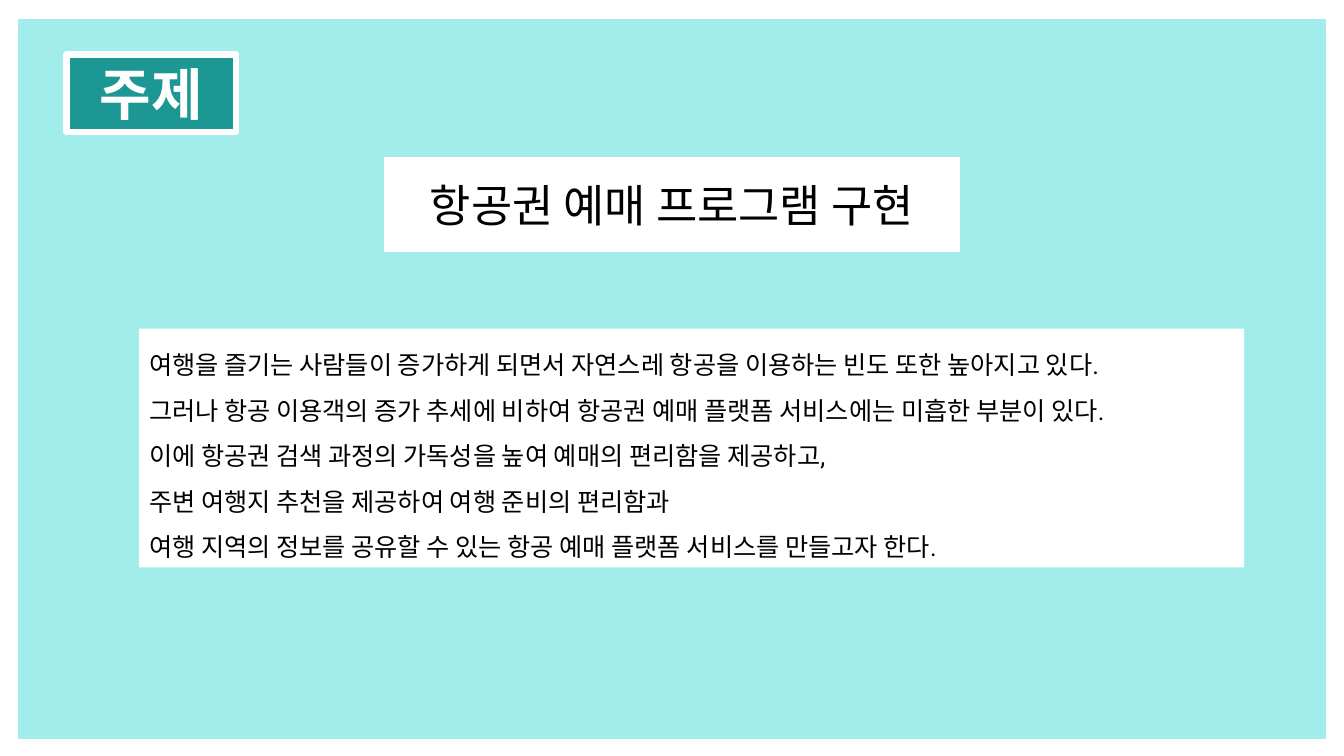
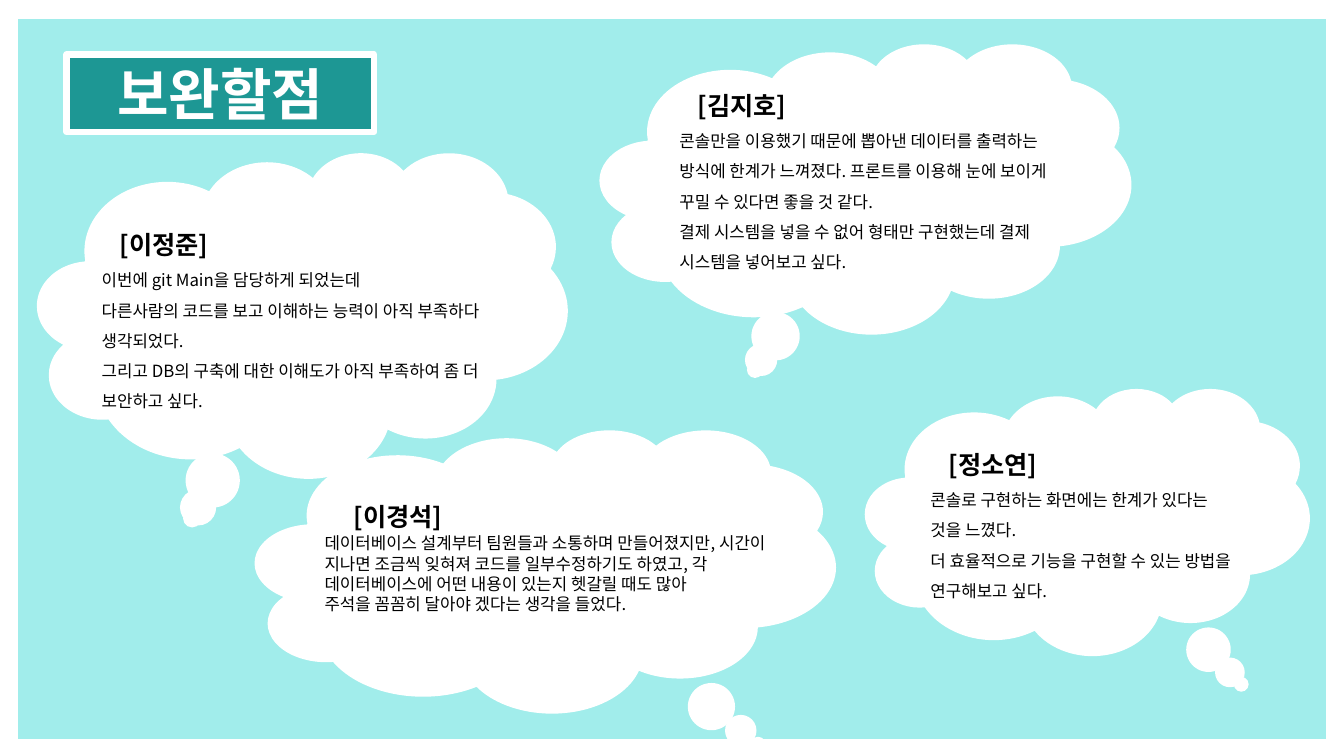
from pptx import Presentation
from pptx import util as u
from pptx.dml.color import RGBColor
from pptx.enum import shapes, text
from pptx.oxml.ns import qn
from lxml import etree

WIDTH, HEIGHT = 13.33, 7.5
AQUA, TEAL, WHITE, BLACK = "A1EDEB", "1D9794", "FFFFFF", "000000"
KOREAN, CONDENSED = "Noto Sans CJK KR", "Roboto Condensed"
LINE_HEIGHT = 1.2  # height of a single line, in text sizes
LOOSE = 1.5

# Slide 1
TOPIC = "항공권 예매 프로그램 구현"
PURPOSE = [
    "여행을 즐기는 사람들이 증가하게 되면서 자연스레 항공을 이용하는 빈도 또한 높아지고 있다.",
    "그러나 항공 이용객의 증가 추세에 비하여 항공권 예매 플랫폼 서비스에는 미흡한 부분이 있다.",
    "이에 항공권 검색 과정의 가독성을 높여 예매의 편리함을 제공하고,",
    "주변 여행지 추천을 제공하여 여행 준비의 편리함과",
    "여행 지역의 정보를 공유할 수 있는 항공 예매 플랫폼 서비스를 만들고자 한다.",
]

# Slide 2: clouds as (left, top, width, height), (tail x, tail y)
CLOUDS = [
    ((0.37, 1.51, 5.26, 3.23), (-0.208, 0.625)),
    ((8.58, 3.85, 4.41, 2.65), (0.346, 0.609)),
    ((2.53, 4.26, 5.76, 2.81), (0.366, 0.613)),
    ((5.95, 0.43, 5.27, 2.88), (-0.208, 0.625)),
]
# Opinions as box, name, remarks, line spacing
OPINIONS = [
    ((3.23, 4.77, 5.6, 0.5), "[이경석]", [], LOOSE),
    ((0.91, 2.08, 4.42, 2.07), "[이정준]", [
        "이번에 git Main을 담당하게 되었는데",
        "다른사람의 코드를 보고 이해하는 능력이 아직 부족하다",
        "생각되었다.",
        "그리고 DB의 구축에 대한 이해도가 아직 부족하여 좀 더 보안하고 싶다.",
    ], LOOSE),
    ((6.64, 0.7, 4.18, 2.07), "[김지호]", [
        "콘솔만을 이용했기 때문에 뽑아낸 데이터를 출력하는 방식에 한계가 느껴졌다. "
        "프론트를 이용해 눈에 보이게 꾸밀 수 있다면 좋을 것 같다.",
        "결제 시스템을 넣을 수 없어 형태만 구현했는데 결제 시스템을 넣어보고 싶다.",
    ], LOOSE),
    ((9.13, 4.26, 4.18, 1.77), "[정소연]", [
        "콘솔로 구현하는 화면에는 한계가 있다는",
        "것을 느꼈다.",
        "더 효율적으로 기능을 구현할 수 있는 방법을",
        "연구해보고 싶다.",
    ], LOOSE),
    ((3.12, 5.24, 4.78, 0.91), None, [
        "데이터베이스 설계부터 팀원들과 소통하며 만들어졌지만, 시간이 지나면 조금씩 잊혀져 "
        "코드를 일부수정하기도 하였고, 각 데이터베이스에 어떤 내용이 있는지 헷갈릴 때도 많아",
        "주석을 꼼꼼히 달아야 겠다는 생각을 들었다.",
    ], 1),
]


def rgb(value):
    return RGBColor.from_string(value)


def inches(box):
    return [u.Inches(length) for length in box]


def add_panel(slide, box, fill, kind=shapes.MSO_SHAPE.RECTANGLE, border=None):
    panel = slide.shapes.add_shape(kind, *inches(box))
    panel.shadow.inherit = False
    panel.fill.solid()
    panel.fill.fore_color.rgb = rgb(fill)
    if border:
        panel.line.color.rgb = rgb(border)
        panel.line.width = u.Pt(4.5)
    else:
        panel.line.fill.background()
    return panel


def write(frame, lines, size, color=BLACK, font=KOREAN, bold=False,
          align=text.PP_ALIGN.LEFT, spacing=1):
    """Fill a text frame with one paragraph for each line."""
    frame.word_wrap = True
    frame.text = "\n".join(lines)
    for paragraph in frame.paragraphs:
        style(paragraph, size, color, font, bold, align, spacing)


def style(paragraph, size, color=BLACK, font=KOREAN, bold=False,
          align=text.PP_ALIGN.LEFT, spacing=1):
    paragraph.alignment = align
    paragraph.line_spacing = u.Pt(size * LINE_HEIGHT * spacing)
    for run in paragraph.runs:
        run.font.size = u.Pt(size)
        run.font.bold = bold
        run.font.name = font
        run.font.color.rgb = rgb(color)
        east_asian = etree.SubElement(run.font._element, qn("a:ea"))
        east_asian.set("typeface", KOREAN)


def add_slide(deck, title, title_width):
    """Blank slide with the aqua field and the framed title."""
    slide = deck.slides.add_slide(deck.slide_layouts[6])
    margin = 0.18
    add_panel(slide, (margin, margin + 0.01, WIDTH - 2 * margin, HEIGHT - 2 * margin), AQUA)
    label = add_panel(slide, (0.66, 0.54, title_width, 0.77), TEAL, border=WHITE)
    write(label.text_frame, [title], 40, WHITE, bold=True, align=text.PP_ALIGN.CENTER)
    return slide


def add_opinion(slide, box, name, remarks, spacing):
    frame = slide.shapes.add_textbox(*inches(box)).text_frame
    write(frame, ([name] if name else []) + remarks, 12, spacing=spacing)
    if name:
        heading = frame.paragraphs[0]
        heading.text = name
        style(heading, 18, bold=True, spacing=spacing)
        heading._p.get_or_add_pPr().set("marL", str(u.Inches(0.18)))


def main():
    deck = Presentation()
    deck.slide_width, deck.slide_height = u.Inches(WIDTH), u.Inches(HEIGHT)

    # Topic
    topic = add_slide(deck, "주제", 1.68)
    subject = add_panel(topic, (3.81, 1.56, 5.71, 0.94), WHITE)
    write(subject.text_frame, [TOPIC], 32, align=text.PP_ALIGN.CENTER)
    purpose = add_panel(topic, (1.38, 3.26, 10.96, 2.37), WHITE)
    write(purpose.text_frame, PURPOSE, 18, font=CONDENSED, spacing=LOOSE)

    # Points to improve
    improvements = add_slide(deck, "보완할점", 3.05)
    for box, tail in CLOUDS:
        cloud = add_panel(improvements, box, WHITE, shapes.MSO_SHAPE.CLOUD_CALLOUT)
        cloud.adjustments[0], cloud.adjustments[1] = tail
    for opinion in OPINIONS:
        add_opinion(improvements, *opinion)

    deck.save("out.pptx")


if __name__ == "__main__":
    main()
